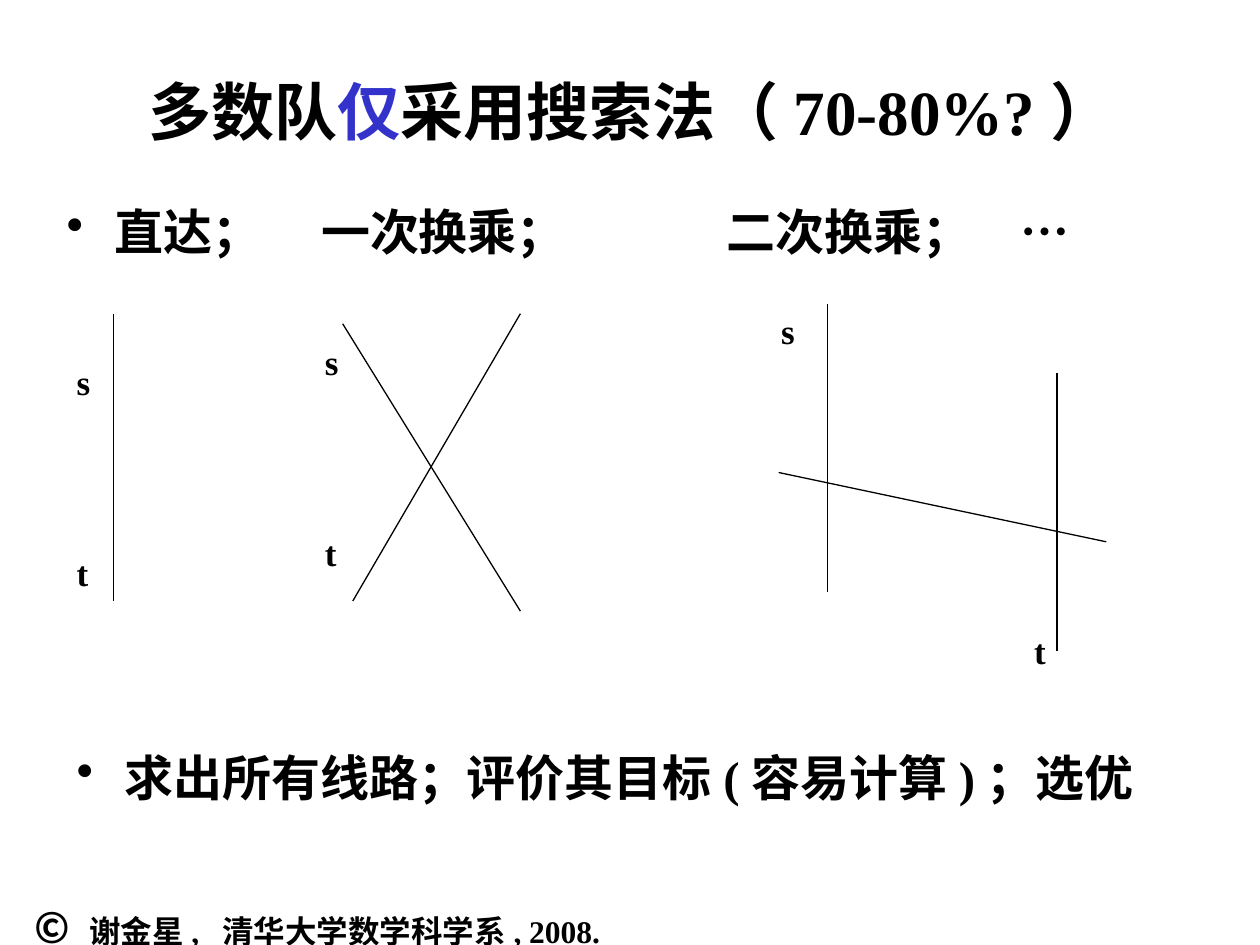
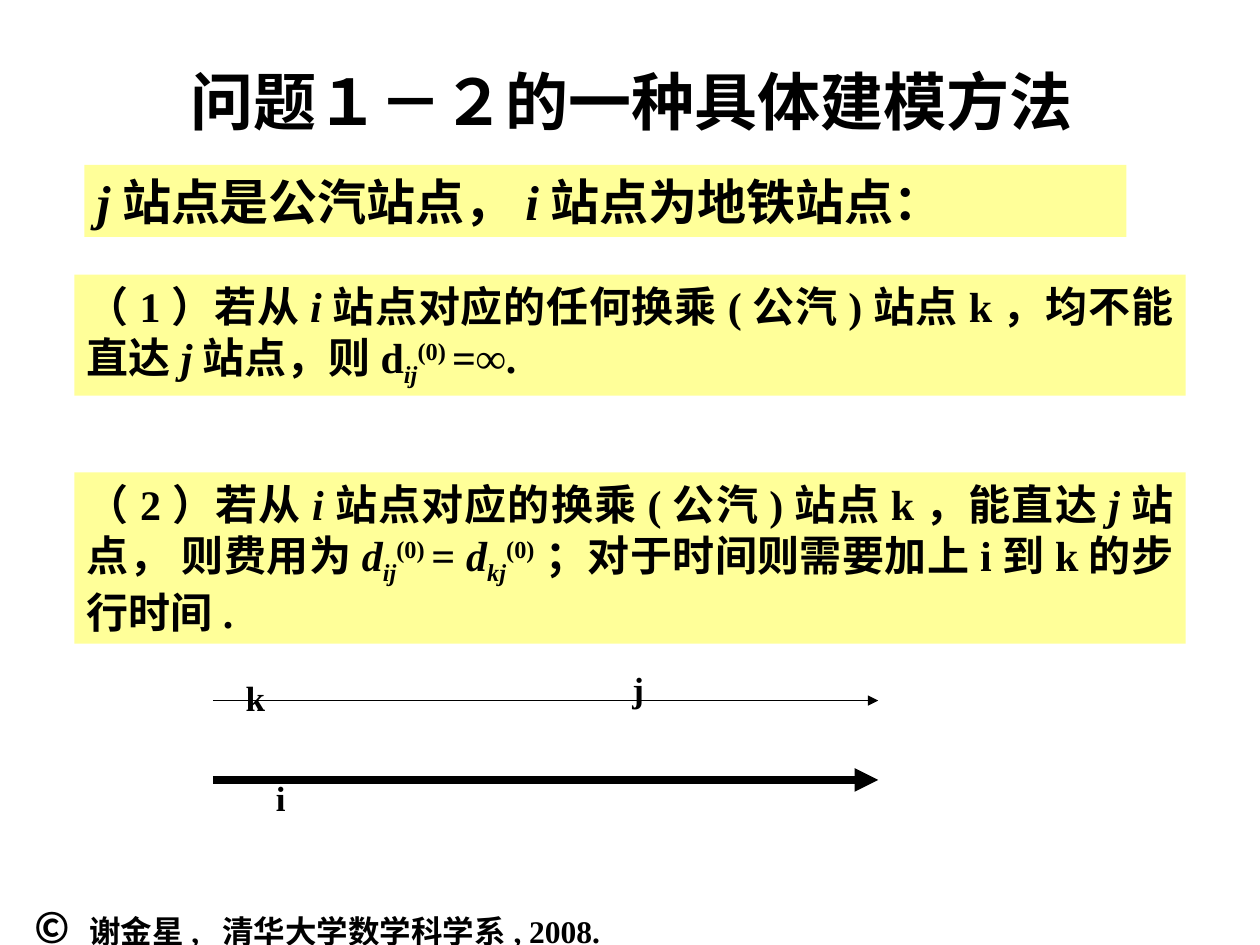
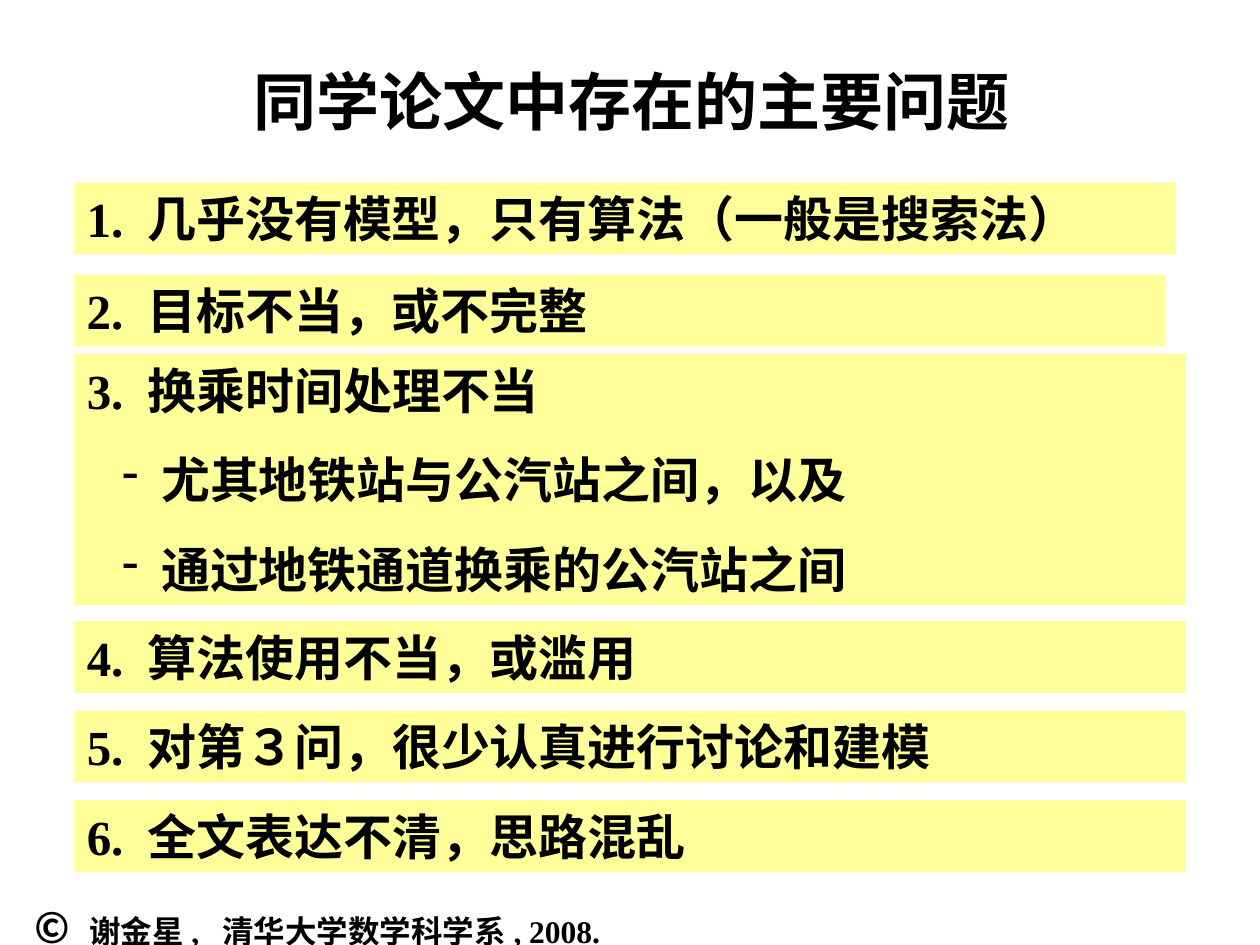
"""Build three slides on bus route search, modelling and common paper problems."""
import pptx
import pptx.dml.color
import pptx.enum.shapes
import pptx.enum.text
import pptx.oxml
import pptx.oxml.ns
import pptx.util
from pptx.util import Inches

ALIGN = pptx.enum.text.PP_ALIGN
ANCHOR = pptx.enum.text.MSO_ANCHOR
THEME = {
    "ink": "000000", "accent": "3333CC", "band": "FFFF99",
    "latin": "Times New Roman", "cjk": "Noto Sans CJK SC",
    "title": 36, "body": 28, "rule": 24, "label": 20, "footer": 18,
}
ITALIC = {"italic": True}
SUB = {"italic": True, "baseline": -25000}
SUP = {"baseline": 30000}

FOOTER = [("© ", {"size": THEME["rule"], "name": THEME["cjk"]}),
          ("谢金星,  清华大学数学科学系, 2008.", {}),
          (" ", {"size": THEME["body"]})]

SEARCH_TITLE = ["多数队", ("仅", {"color": THEME["accent"]}), "采用搜索法（70-80%?）"]
SEARCH_BULLETS = [
    ((0.43, 1.55, 9.21, 0.79), "直达；\t一次换乘；\t二次换乘；\t…"),
    ((0.51, 5.88, 9.21, 1.02), "求出所有线路；评价其目标(容易计算)；选优"),
]
TRANSFER_TABS = (2.02, 5.24, 7.57)
ROUTES = [
    (0.9, 2.49, 0.9, 4.77),
    (2.72, 2.57, 4.13, 4.85), (4.13, 2.49, 2.8, 4.77),
    (8.39, 2.96, 8.39, 5.17), (6.57, 2.41, 6.57, 4.7), (6.18, 3.75, 8.78, 4.3),
]
STOPS = [("s", 0.51, 2.81), ("t", 0.51, 4.33), ("s", 2.48, 2.65), ("t", 2.48, 4.17),
         ("s", 6.1, 2.41), ("t", 8.11, 4.95)]

MODEL_TITLE = ["问题１－２的一种具体建模方法"]
MODEL_BANDS = [
    ((0.67, 1.31, 8.27, 0.57), "body", ALIGN.LEFT,
     [("j", ITALIC), "站点是公汽站点，", ("i", ITALIC), "站点为地铁站点："]),
    ((0.59, 2.18, 8.82, 0.96), "rule", ALIGN.JUSTIFY,
     ["（1）若从", ("i", ITALIC), "站点对应的任何换乘(公汽)站点k，均不能直达",
      ("j", ITALIC), "站点，则d", ("ij", SUB), ("(0) ", SUP), "=∞. "]),
    ((0.59, 3.75, 8.82, 1.36), "rule", ALIGN.JUSTIFY,
     ["（2）若从", ("i", ITALIC), "站点对应的换乘(公汽)站点k，能直达", ("j", ITALIC),
      "站点， 则费用为", ("d", ITALIC), ("ij", SUB), ("(0) ", SUP), "= ",
      ("d", ITALIC), ("kj", SUB), ("(0)", SUP),
      "；对于时间则需要加上i到k的步行时间. "]),
]
LINES = [(5.56, 0.75), (6.19, 4.5)]
LINE_STOPS = [("i", 2.09, 6.11), ("k", 1.85, 5.32), ("j", 4.92, 5.25)]

PROBLEM_TITLE = ["同学论文中存在的主要问题"]
PROBLEMS = [
    (1.45, 8.74, 0.57, ["1. 几乎没有模型，只有算法（一般是搜索法）"]),
    (2.18, 8.66, 0.57, ["2. 目标不当，或不完整"]),
    (2.81, 8.82, 1.99, ["3. 换乘时间处理不当", "尤其地铁站与公汽站之间，以及",
                        "通过地铁通道换乘的公汽站之间"]),
    (4.93, 8.82, 0.57, ["4. 算法使用不当，或滥用"]),
    (5.64, 8.82, 0.57, ["5. 对第３问，很少认真进行讨论和建模"]),
    (6.35, 8.82, 0.57, ["6. 全文表达不清，思路混乱"]),
]


def rgb(value):
    """Turn a hex string into a colour."""
    return pptx.dml.color.RGBColor.from_string(value)


def add_xml(parent, tag, **attrs):
    """Append a drawing element with its attributes."""
    el = pptx.oxml.parse_xml(f"<a:{tag} {pptx.oxml.ns.nsdecls('a')}/>")
    for key, value in attrs.items():
        el.set(key, str(value))
    parent.append(el)
    return el


def place(sp, box):
    """Set the left, top, width and height of a shape."""
    for name, value in zip(("left", "top", "width", "height"), box):
        setattr(sp, name, Inches(value))


def frame(sp, anchor=ANCHOR.TOP, margins=(0.1, 0.05, 0.1, 0.05)):
    """Set up the text frame of a shape."""
    tf = sp.text_frame
    values = {"word_wrap": True, "auto_size": pptx.enum.text.MSO_AUTO_SIZE.NONE,
              "vertical_anchor": anchor}
    sides = ("margin_left", "margin_top", "margin_right", "margin_bottom")
    values.update(zip(sides, map(Inches, margins)))
    for name, value in values.items():
        setattr(tf, name, value)
    return tf


def write(p, runs, size, align=ALIGN.LEFT, before=0):
    """Fill a paragraph with runs, each a string or a (text, format) pair."""
    p.alignment = align
    p.space_before = pptx.util.Pt(before)
    for run in runs:
        text, extra = (run, {}) if isinstance(run, str) else run
        fmt = {"name": THEME["latin"], "size": size, "bold": True, "italic": False,
               "color": THEME["ink"], **extra}
        r = p.add_run()
        r.text = text
        r.font.color.rgb = rgb(fmt.pop("color"))
        baseline = fmt.pop("baseline", None)
        fmt["size"] = pptx.util.Pt(fmt["size"])
        for name, value in fmt.items():
            setattr(r.font, name, value)
        rpr = r.font._element
        if baseline:
            rpr.set("baseline", str(baseline))
        add_xml(rpr, "ea", typeface=THEME["cjk"])


def indent(p, left, first, bullet=None, tabs=()):
    """Give a paragraph its indents, bullet and tab stops."""
    ppr = p._p.get_or_add_pPr()
    ppr.set("marL", str(Inches(left)))
    ppr.set("indent", str(Inches(first)))
    if bullet:
        add_xml(ppr, "buChar", char=bullet)
    if tabs:
        stops = add_xml(ppr, "tabLst")
        for tab in tabs:
            add_xml(stops, "tab", pos=Inches(tab), algn="l")


def add_text(s, box, runs, size, **kw):
    """Add a text box with one paragraph."""
    sp = s.shapes.add_textbox(*map(Inches, box))
    p = frame(sp, **kw).paragraphs[0]
    write(p, runs, size)
    return sp, p


def add_band(s, box):
    """Add a filled band and return its text frame."""
    sp = s.shapes.add_shape(pptx.enum.shapes.MSO_SHAPE.RECTANGLE, *map(Inches, box))
    sp.shadow.inherit = False
    sp.fill.solid()
    sp.fill.fore_color.rgb = rgb(THEME["band"])
    sp.line.fill.background()
    return frame(sp)


def add_line(s, ends, width=0.75, arrow=False):
    """Add a straight line, with an arrowhead if asked."""
    cx = s.shapes.add_connector(pptx.enum.shapes.MSO_CONNECTOR.STRAIGHT, *map(Inches, ends))
    cx.line.color.rgb = rgb(THEME["ink"])
    cx.line.width = pptx.util.Pt(width)
    if arrow:
        add_xml(cx.line._get_or_add_ln(), "tailEnd", type="triangle")
    add_xml(cx._element.spPr, "effectLst")


def add_labels(s, labels):
    """Add the small stop names."""
    for text, left, top in labels:
        add_text(s, (left, top, 0.42, 0.44), [text], THEME["label"])


def add_slide(prs, runs, top=0.44):
    """Add a slide with its title."""
    s = prs.slides.add_slide(prs.slide_layouts[5])
    place(s.shapes.title, (0.51, top, 9, 0.71))
    tf = frame(s.shapes.title, ANCHOR.MIDDLE)
    write(tf.paragraphs[0], runs, THEME["title"], ALIGN.CENTER)
    return s


def share_footer(prs, s):
    """Write the footer and move it to the shared layout."""
    sp, p = add_text(s, (0.27, 7.06, 4.88, 0.51), FOOTER, THEME["footer"],
                     margins=(0, 0.04, 0, 0))
    indent(p, 0.38, -0.38)
    s.slide_layout.shapes.element.append(sp.element)


def search_slide(prs):
    """Draw direct, one-transfer and two-transfer routes."""
    s = add_slide(prs, SEARCH_TITLE, 0.52)
    share_footer(prs, s)
    for box, text in SEARCH_BULLETS:
        p = add_text(s, box, [text], THEME["body"])[1]
        indent(p, 0.38, -0.38, "•", TRANSFER_TABS if "\t" in text else ())
    for ends in ROUTES:
        add_line(s, ends)
    add_labels(s, STOPS)


def model_slide(prs):
    """Show the rules for bus and metro stops."""
    s = add_slide(prs, MODEL_TITLE)
    for box, size, align, runs in MODEL_BANDS:
        write(add_band(s, box).paragraphs[0], runs, THEME[size], align)
    for y, width in LINES:
        add_line(s, (1.69, y, 6.97, y), width, arrow=True)
    add_labels(s, LINE_STOPS)


def problem_slide(prs):
    """List the main problems, with sub-items dashed."""
    s = add_slide(prs, PROBLEM_TITLE)
    for top, width, height, items in PROBLEMS:
        tf = add_band(s, (0.59, top, width, height))
        for i, text in enumerate(items):
            p = tf.add_paragraph() if i else tf.paragraphs[0]
            write(p, [text], THEME["body"], ALIGN.JUSTIFY, 17.5 if i else 0)
            if i:
                p.level = 1
                indent(p, 0.59, -0.31, "-")


def main():
    """Build and save the presentation."""
    prs = pptx.Presentation()
    prs.slide_width, prs.slide_height = Inches(10), Inches(7.5)
    for build in (search_slide, model_slide, problem_slide):
        build(prs)
    prs.save("out.pptx")


if __name__ == "__main__":
    main()
